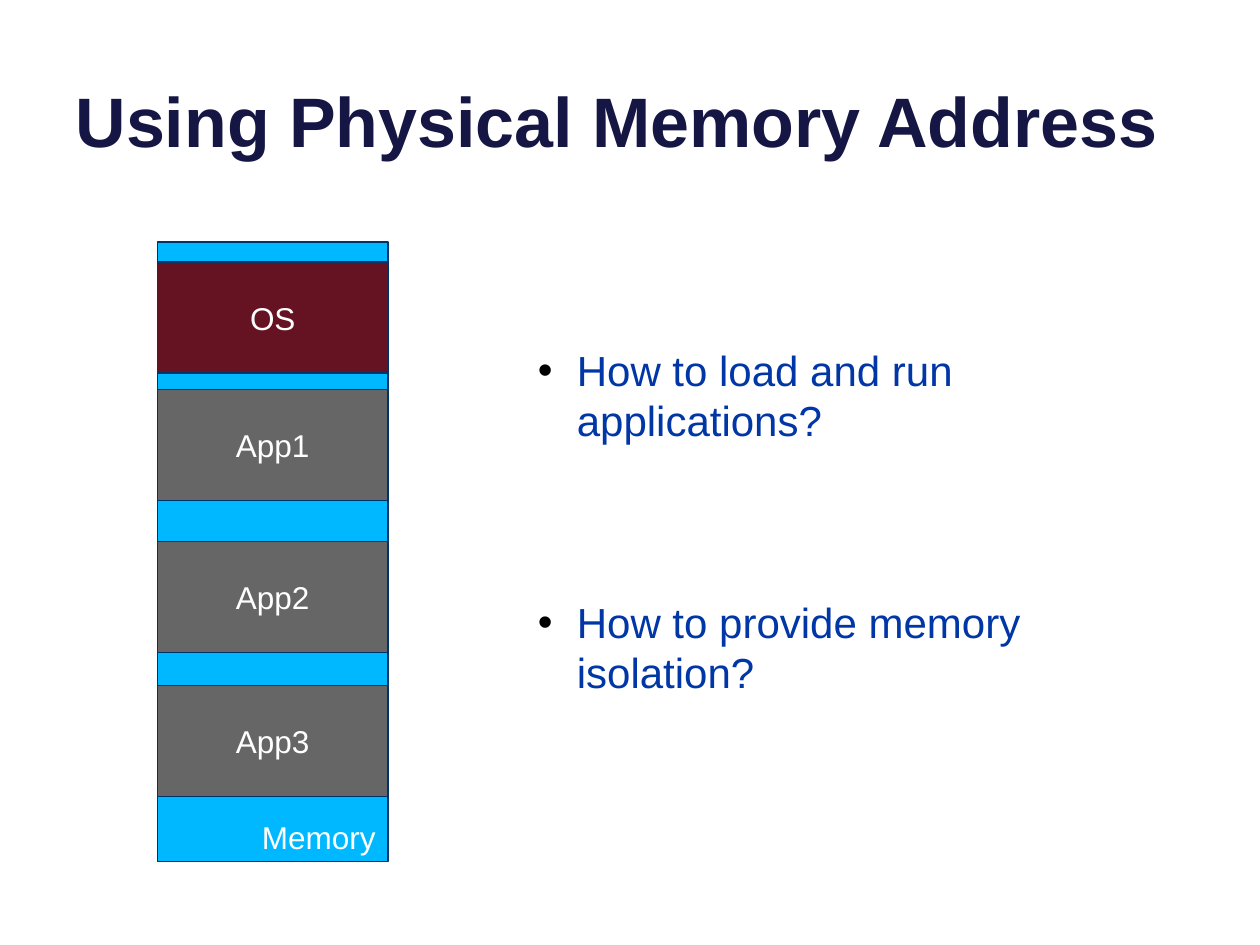
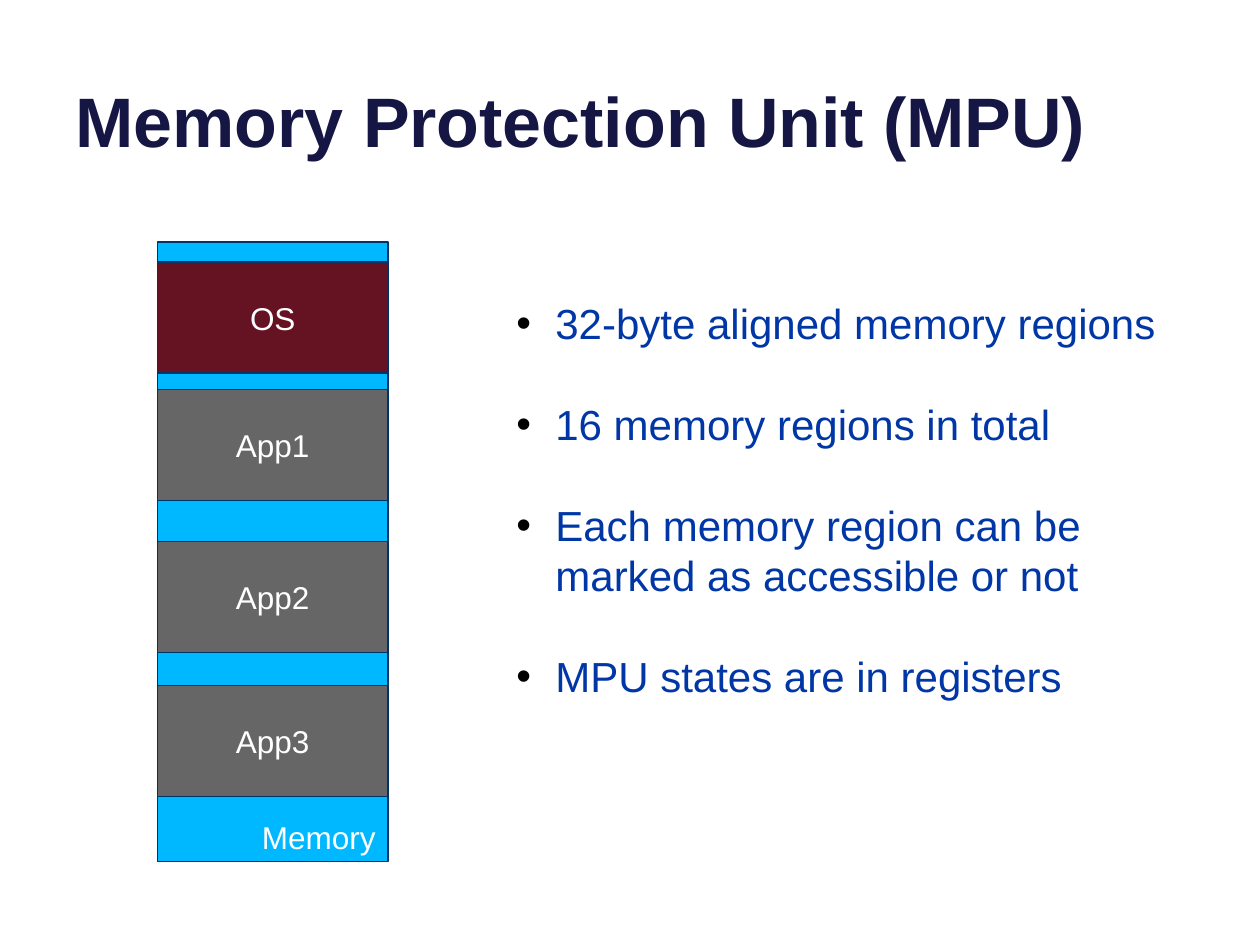
"""Build two slides on physical memory addressing and the memory protection unit."""
import lxml.etree
import pptx
import pptx.dml.color
import pptx.enum.shapes
import pptx.enum.text
import pptx.oxml.ns
import pptx.util

PX = 9144
FONT = "Arial"
TITLE_COLOR = "161645"
BODY_COLOR = "0036A6"
LINE_COLOR = "003367"
MEMORY_COLOR = "00B8FF"
OS_COLOR = "651222"
APP_COLOR = "666666"
LABEL_COLOR = "FFFFFF"
BULLET_COLOR = "000000"
BULLET_INDENT = 31
LINE_PITCH = 28.8

ALIGN = pptx.enum.text.PP_ALIGN
ANCHOR = pptx.enum.text.MSO_ANCHOR


def color(hex_string):
    """Turn a hex string into a colour."""
    return pptx.dml.color.RGBColor.from_string(hex_string)


def write_text(shape, *lines, size, text_color, bold=False, align=ALIGN.LEFT,
               anchor=ANCHOR.MIDDLE, bullet=False, gap=0):
    """Fill a shape with one formatted paragraph per line."""
    frame = shape.text_frame
    frame.word_wrap = True
    frame.auto_size = pptx.enum.text.MSO_AUTO_SIZE.NONE
    frame.vertical_anchor = anchor
    for index, line in enumerate(lines):
        paragraph = frame.add_paragraph() if index else frame.paragraphs[0]
        paragraph.text = line
        if bullet:
            properties = paragraph._p.get_or_add_pPr()
            properties.set("marL", str(BULLET_INDENT * PX))
            properties.set("indent", str(-BULLET_INDENT * PX))
            qn = pptx.oxml.ns.qn
            bullet_color = lxml.etree.SubElement(properties, qn("a:buClr"))
            lxml.etree.SubElement(bullet_color, qn("a:srgbClr"), val=BULLET_COLOR)
            lxml.etree.SubElement(properties, qn("a:buFont"), typeface=FONT)
            lxml.etree.SubElement(properties, qn("a:buChar"), char="•")
            paragraph.line_spacing = pptx.util.Pt(LINE_PITCH)
        if index:
            paragraph.space_before = pptx.util.Pt(gap)
        paragraph.alignment = align
        paragraph.font.name = FONT
        paragraph.font.size = pptx.util.Pt(size)
        paragraph.font.bold = bold
        paragraph.font.color.rgb = color(text_color)


MEMORY_BLOCKS = [
    ("Memory", 192, 492, MEMORY_COLOR, ALIGN.RIGHT, ANCHOR.BOTTOM),
    ("OS", 208, 88, OS_COLOR, ALIGN.CENTER, ANCHOR.MIDDLE),
    ("App1", 309, 88, APP_COLOR, ALIGN.CENTER, ANCHOR.MIDDLE),
    ("App2", 430, 88, APP_COLOR, ALIGN.CENTER, ANCHOR.MIDDLE),
    ("App3", 544, 88, APP_COLOR, ALIGN.CENTER, ANCHOR.MIDDLE),
]

SLIDES = [
    ("Using Physical Memory Address", (417, 267, 516, 293), 3, [
        "How to load and run applications?",
        "How to provide memory isolation?",
    ]),
    ("Memory Protection Unit (MPU)", (400, 230, 550, 333), 1, [
        "32-byte aligned memory regions",
        "16 memory regions in total",
        "Each memory region can be marked as accessible or not",
        "MPU states are in registers",
    ]),
]

presentation = pptx.Presentation()
presentation.slide_width = 1000 * PX
presentation.slide_height = 750 * PX
title_only = presentation.slide_layouts[5]

for title_text, body_box, gap_lines, points in SLIDES:
    slide = presentation.slides.add_slide(title_only)
    title = slide.shapes.title
    title.left, title.top, title.width, title.height = 50 * PX, -37 * PX, 900 * PX, 170 * PX
    write_text(title, title_text, size=40, text_color=TITLE_COLOR, bold=True,
               anchor=ANCHOR.BOTTOM)

    for label, top, height, fill, align, anchor in MEMORY_BLOCKS:
        block = slide.shapes.add_shape(pptx.enum.shapes.MSO_SHAPE.RECTANGLE,
                                       125 * PX, top * PX, 183 * PX, height * PX)
        block.shadow.inherit = False
        block.fill.solid()
        block.fill.fore_color.rgb = color(fill)
        block.line.color.rgb = color(LINE_COLOR)
        block.line.width = pptx.util.Pt(0.75)
        write_text(block, label, size=18, text_color=LABEL_COLOR, align=align, anchor=anchor)

    body = slide.shapes.add_textbox(*(length * PX for length in body_box))
    write_text(body, *points, size=24, text_color=BODY_COLOR, bullet=True,
               gap=gap_lines * LINE_PITCH)

presentation.save("out.pptx")
